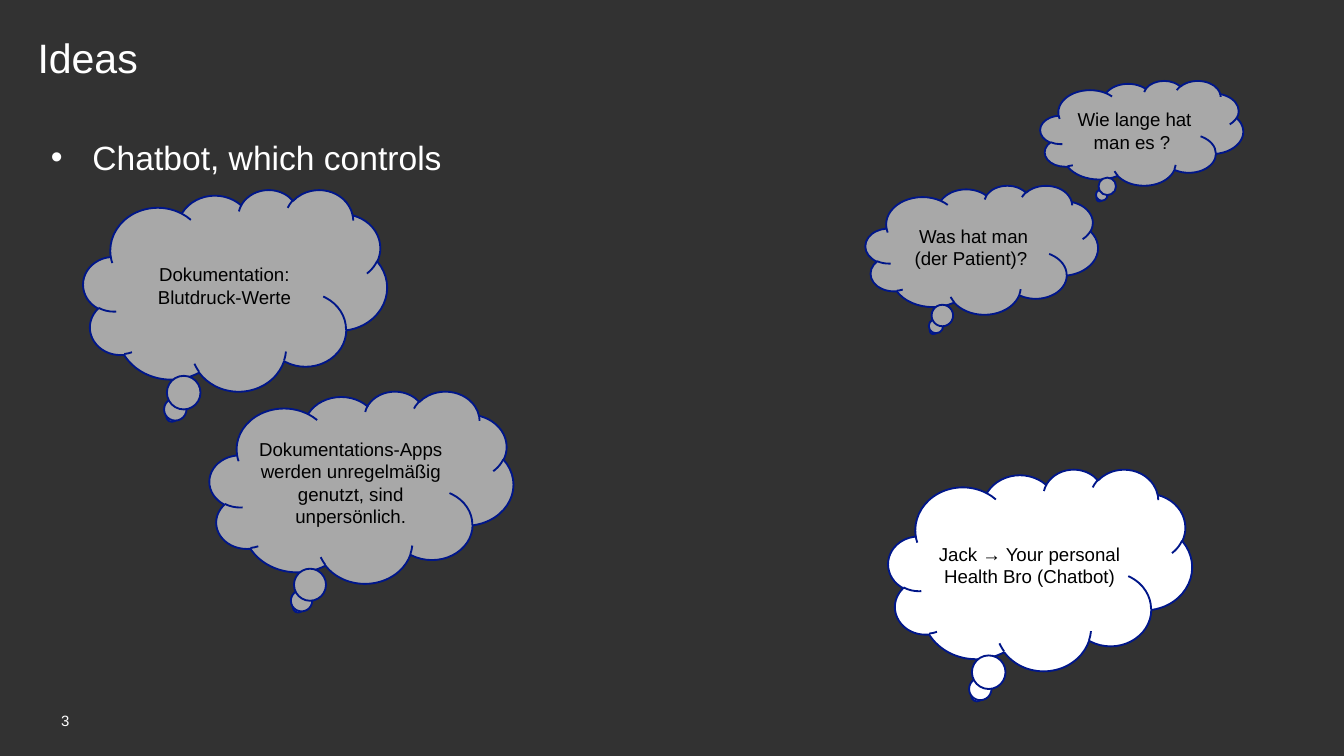
from pptx import Presentation
from pptx.dml.color import RGBColor
from pptx.enum.shapes import MSO_SHAPE
from pptx.enum.text import MSO_ANCHOR, PP_ALIGN
from pptx.util import Inches, Pt
from lxml.etree import SubElement
from pptx.oxml.ns import qn

DARK = RGBColor(0x32, 0x32, 0x32)
GREY = RGBColor(0xA8, 0xA8, 0xA8)
BLUE = RGBColor(0x00, 0x16, 0x89)
WHITE = RGBColor(0xFF, 0xFF, 0xFF)
BLACK = RGBColor(0x00, 0x00, 0x00)
SIDES = ("left", "top", "right", "bottom")


def write(shape, text, size, color, align, anchor, inset):
    frame = shape.text_frame
    form = {"word_wrap": True, "vertical_anchor": anchor}
    form.update({f"margin_{side}": Inches(inset) for side in SIDES})
    for key, value in form.items():
        setattr(frame, key, value)
    frame.text = text
    for para in frame.paragraphs:
        para.alignment = align
        font = para.runs[0].font
        for key, value in {"name": "Arial", "size": Pt(size)}.items():
            setattr(font, key, value)
        font.color.rgb = color
    return frame.paragraphs[0]


deck = Presentation()
deck.slide_width = Inches(10)
deck.slide_height = Inches(10) * 9 // 16
slide = deck.slides.add_slide(deck.slide_layouts[6])
slide.background.fill.solid()
slide.background.fill.fore_color.rgb = DARK

labels = [
    ((0.28, 0.28, 9.43, 0.32), "Ideas", 22, PP_ALIGN.LEFT, MSO_ANCHOR.TOP, 0),
    ((0.28, 5.25, 0.41, 0.22), "3", 8, PP_ALIGN.CENTER, MSO_ANCHOR.MIDDLE, 0),
    ((0.28, 0.97, 8.29, 3.88), "Chatbot, which controls", 18,
     PP_ALIGN.LEFT, MSO_ANCHOR.TOP, 0.1),
]
paras = []
for place, text, size, align, anchor, inset in labels:
    box = slide.shapes.add_textbox(*map(Inches, place))
    paras.append(write(box, text, size, WHITE, align, anchor, inset))

title, number, point = paras
title.line_spacing = 0.9
box.text_frame.margin_top = box.text_frame.margin_bottom = Inches(0.05)
props = point._p.get_or_add_pPr()
for key, value in {"marL": 0.31, "indent": -0.31}.items():
    props.set(key, str(Inches(value)))
SubElement(props, qn("a:buFont")).set("typeface", "Arial")
SubElement(props, qn("a:buChar")).set("char", "•")

clouds = [
    ((0.62, 1.41, 2.26, 1.5), GREY, "Dokumentation:\nBlutdruck-Werte"),
    ((6.44, 1.38, 1.73, 0.96), GREY, "Was hat man (der Patient)? "),
    ((7.74, 0.6, 1.51, 0.78), GREY, "Wie lange hat man es ? "),
    ((6.61, 3.49, 2.26, 1.5), WHITE,
     "Jack → Your personal Health Bro (Chatbot)"),
    ((1.56, 2.91, 2.26, 1.43), GREY,
     "Dokumentations-Apps werden unregelmäßig genutzt, sind unpersönlich."),
]
for place, color, text in clouds:
    cloud = slide.shapes.add_shape(MSO_SHAPE.CLOUD_CALLOUT, *map(Inches, place))
    cloud.shadow.inherit = False
    cloud.fill.solid()
    cloud.fill.fore_color.rgb = color
    cloud.line.color.rgb = BLUE
    cloud.line.width = Pt(1)
    write(cloud, text, 10, BLACK, PP_ALIGN.CENTER, MSO_ANCHOR.MIDDLE, 0.05)

deck.save("out.pptx")
